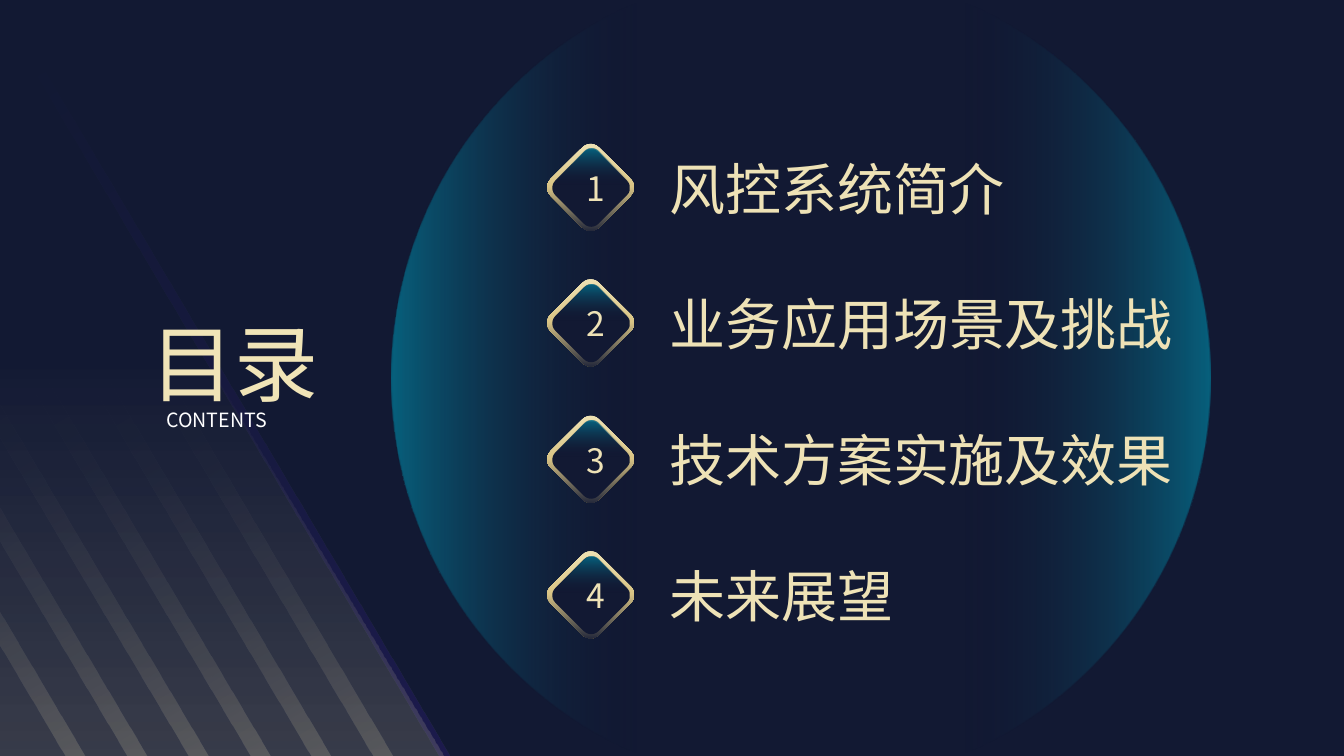
"""Build the contents slide: a glowing disc, slanted stripes and four numbered topics."""
from dataclasses import dataclass
from typing import Any

from lxml import etree
from pptx import Presentation
from pptx.dml.color import RGBColor
from pptx.enum.shapes import MSO_SHAPE
from pptx.enum.text import MSO_ANCHOR, MSO_AUTO_SIZE, PP_ALIGN
from pptx.oxml.ns import qn
from pptx.util import Pt

PX = 9525
WIDTH, HEIGHT = 1280, 720
TITLE_ONLY = 5
FONT = "Noto Sans CJK SC"

NAVY = RGBColor(0x12, 0x19, 0x33)
TEAL = RGBColor(0x04, 0x77, 0x94)
CREAM = RGBColor(0xF0, 0xE4, 0xB7)
PALE_GOLD = RGBColor(0xEE, 0xE2, 0xB6)
SOFT_GOLD = RGBColor(0xE7, 0xD4, 0x8D)
DEEP_GOLD = RGBColor(0xD9, 0xC4, 0x85)
VIOLET = RGBColor(0x5A, 0x27, 0xE9)
WHITE = RGBColor(0xFF, 0xFF, 0xFF)

OVAL, RECT = MSO_SHAPE.OVAL, MSO_SHAPE.RECTANGLE
ROUNDED, TRIANGLE = MSO_SHAPE.ROUNDED_RECTANGLE, MSO_SHAPE.RIGHT_TRIANGLE
LEFT, CENTER, JUSTIFY = PP_ALIGN.LEFT, PP_ALIGN.CENTER, PP_ALIGN.JUSTIFY
TOP = MSO_ANCHOR.TOP
FIT_SHAPE = MSO_AUTO_SIZE.SHAPE_TO_FIT_TEXT


@dataclass(frozen=True)
class Box:
    """A rectangle in px."""
    x: int
    y: int
    w: int
    h: int

    def emu(self) -> tuple[int, int, int, int]:
        """Return left, top, width and height in EMU."""
        return self.x * PX, self.y * PX, self.w * PX, self.h * PX


@dataclass(frozen=True)
class Stop:
    """A gradient stop; position and opacity are percentages."""
    position: int
    color: RGBColor
    opacity: int = 100


@dataclass(frozen=True)
class Gradient:
    """A linear gradient with a clockwise angle in degrees."""
    angle: int
    stops: tuple[Stop, ...]


@dataclass(frozen=True)
class Topic:
    """One entry of the contents list."""
    label: str
    width: int


DISC_GLOW = Gradient(270, (Stop(0, TEAL, 76), Stop(30, NAVY, 0),
                           Stop(70, NAVY, 0), Stop(100, TEAL, 76)))
STRIPE_FADE = Gradient(270, (Stop(0, CREAM, 20), Stop(100, NAVY, 0)))
EDGE_FADE = Gradient(90, (Stop(0, VIOLET, 0), Stop(100, VIOLET, 15)))
CORNER_FADE = Gradient(270, (Stop(0, CREAM, 17), Stop(53, CREAM, 0)))
TITLE_GOLD = Gradient(90, (Stop(0, CREAM), Stop(100, SOFT_GOLD)))
FRAME_GOLD = Gradient(45, (Stop(0, CREAM), Stop(49, DEEP_GOLD), Stop(100, NAVY)))
BADGE_GLOW = Gradient(45, (Stop(0, TEAL), Stop(47, NAVY, 0)))

SLANT = 329.4
STRIPE_COUNT, STRIPE_PITCH = 6, 59
BADGE_X, FIRST_TOP, TWO_ROWS = 530, 146, 259
TOPICS = (
    Topic("风控系统简介", 388),
    Topic("业务应用场景及挑战", 516),
    Topic("技术方案实施及效果", 540),
    Topic("未来展望", 322),
)


def apply_gradient(fill: Any, owner: Any, gradient: Gradient) -> None:
    """Give a fill the stops and angle of a gradient."""
    fill.gradient()
    grad = owner.find(qn("a:gradFill"))
    grad.find(qn("a:lin")).set("ang", str(gradient.angle * 60000))
    stops = grad.find(qn("a:gsLst"))
    for old in list(stops):
        stops.remove(old)
    for stop in gradient.stops:
        gs = etree.SubElement(stops, qn("a:gs"), pos=str(stop.position * 1000))
        color = etree.SubElement(gs, qn("a:srgbClr"), val=str(stop.color))
        if stop.opacity < 100:
            etree.SubElement(color, qn("a:alpha"), val=str(stop.opacity * 1000))


def add_shape(shapes: Any, kind: Any, box: Box, paint: Gradient | RGBColor,
              rotation: float = 0) -> Any:
    """Add an unlined preset shape with a plain or gradient fill."""
    sp = shapes.add_shape(kind, *box.emu())
    sp.shadow.inherit = False
    sp.line.fill.background()
    sp.rotation = rotation
    if isinstance(paint, Gradient):
        apply_gradient(sp.fill, sp.element.spPr, paint)
    else:
        sp.fill.solid()
        sp.fill.fore_color.rgb = paint
    return sp


def write(sp: Any, text: str, size: int, paint: Gradient | RGBColor, align: Any) -> None:
    """Fill a text shape with one formatted line."""
    tf = sp.text_frame
    tf.text = text
    tf.word_wrap = True
    tf.auto_size = FIT_SHAPE
    tf.vertical_anchor = TOP
    p = tf.paragraphs[0]
    p.alignment = align
    r = p.runs[0]
    r.font.size = Pt(size)
    r.font.name = FONT
    props = r.font.fill
    rpr = p.runs[0]._r.get_or_add_rPr()
    if isinstance(paint, Gradient):
        apply_gradient(props, rpr, paint)
    else:
        r.font.color.rgb = paint
    latin = rpr.find(qn("a:latin"))
    latin.addnext(etree.Element(qn("a:ea"), typeface=FONT))


def add_text(shapes: Any, box: Box, text: str, size: int, color: RGBColor,
             align: Any) -> None:
    """Add a text box with one line."""
    write(shapes.add_textbox(*box.emu()), text, size, color, align)


def add_corner(shapes: Any) -> None:
    """Draw the slanted stripes, their edge and the corner triangle."""
    for i in range(STRIPE_COUNT):
        box = Box(-46 + i * STRIPE_PITCH, 307 + i // 2, 16, 456)
        add_shape(shapes, RECT, box, STRIPE_FADE, SLANT)
    edge = add_shape(shapes, ROUNDED, Box(218, -31, 9, 822), EDGE_FADE, SLANT)
    edge.adjustments[0] = 0.5
    add_shape(shapes, TRIANGLE, Box(0, 16, 422, 704), CORNER_FADE)


def add_topic(shapes: Any, number: int, topic: Topic, x: int, y: int) -> None:
    """Draw a numbered diamond badge and its label."""
    inner = Box(x + 4, y + 4, 58, 58)
    for box, paint in ((Box(x, y, 65, 65), FRAME_GOLD), (inner, NAVY), (inner, BADGE_GLOW)):
        add_shape(shapes, ROUNDED, box, paint, 45)
    add_text(shapes, Box(x + 19, y + 9, 28, 48), str(number), 24, PALE_GOLD, CENTER)
    add_text(shapes, Box(x + 98, y - 4, topic.width, 74), topic.label, 40, PALE_GOLD, LEFT)


def main() -> None:
    """Build and save the slide."""
    prs = Presentation()
    prs.slide_width, prs.slide_height = WIDTH * PX, HEIGHT * PX
    s = prs.slides.add_slide(prs.slide_layouts[TITLE_ONLY])
    s.background.fill.solid()
    s.background.fill.fore_color.rgb = NAVY

    add_shape(s.shapes, OVAL, Box(373, -30, 780, 780), DISC_GLOW, 270)
    add_corner(s.shapes.add_group_shape().shapes)

    title = s.shapes.title
    title.left, title.top, title.width, title.height = Box(38, 292, 371, 107).emu()
    write(title, "目录", 60, TITLE_GOLD, CENTER)
    title.element.getparent().append(title.element)
    add_text(s.shapes, Box(149, 384, 159, 33), "CONTENTS", 14, WHITE, JUSTIFY)

    for i, topic in enumerate(TOPICS):
        group = s.shapes.add_group_shape()
        add_topic(group.shapes, i + 1, topic, BADGE_X, FIRST_TOP + i * TWO_ROWS // 2)

    prs.save("out.pptx")


if __name__ == "__main__":
    main()
